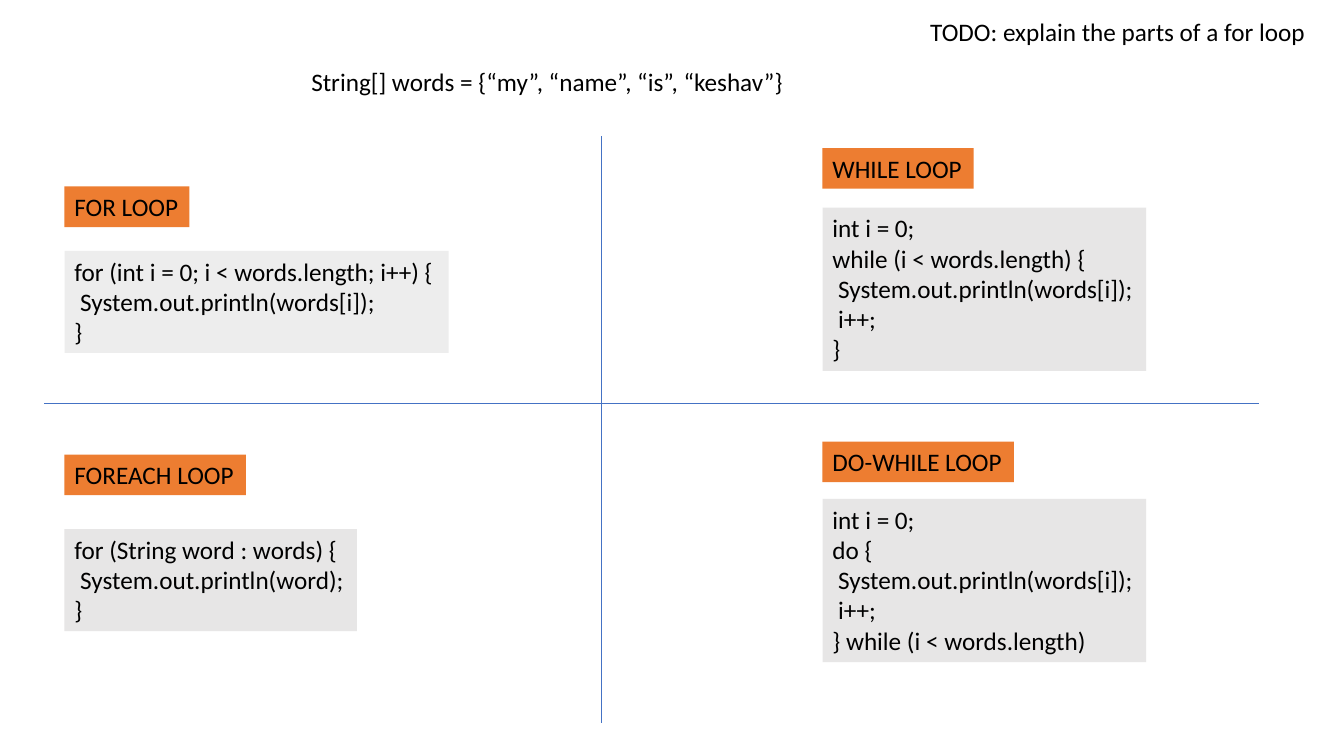
import pptx
import pptx.util
import pptx.dml.color
import pptx.enum.shapes
import pptx.enum.text
import pptx.oxml.ns
import lxml.etree

Pt = pptx.util.Pt
FONT = "Calibri"
BLACK, ORANGE, GREY, PALE, BLUE = "000000", "ED7D31", "E7E6E6", "EDEDED", "4472C4"
LINE = 21.88
PAD = 7.2

# left, top, title, title width, drop to code, code width, fill, code
LOOPS = [
    (46.1, 133.2, "FOR LOOP", 89.3, 46.1, 274.3, PALE, [
        "for (int i = 0; i < words.length; i++) {",
        " System.out.println(words[i]);",
        "}"]),
    (46.1, 324.7, "FOREACH LOOP", 129.6, 53.3, 208.8, GREY, [
        "for (String word : words) {",
        " System.out.println(word);",
        "}"]),
    (587.5, 105.8, "WHILE LOOP", 108, 42.5, 231.1, GREY, [
        "int i = 0;",
        "while (i < words.length) {",
        " System.out.println(words[i]);",
        " i++;",
        "}"]),
    (587.5, 315.4, "DO-WHILE LOOP", 136.8, 41, 231.1, GREY, [
        "int i = 0;",
        "do {",
        " System.out.println(words[i]);",
        " i++;",
        "} while (i < words.length)"]),
]


def color(text):
    return pptx.dml.color.RGBColor.from_string(text)


def write(slide, lines, left, top, width, fill=None, wrap=False, size=18):
    """Place lines of text, on a filled rectangle if a fill is given."""
    box = [Pt(n) for n in (left, top, width, PAD + LINE * len(lines))]
    if fill:
        shape = slide.shapes.add_shape(
            pptx.enum.shapes.MSO_SHAPE.RECTANGLE, *box)
        shape.shadow.inherit = False
        shape.fill.solid()
        shape.fill.fore_color.rgb = color(fill)
        shape.line.fill.background()
    else:
        shape = slide.shapes.add_textbox(*box)
    frame = shape.text_frame
    frame.text = "\n".join(lines)
    frame.word_wrap = wrap
    frame.auto_size = pptx.enum.text.MSO_AUTO_SIZE.SHAPE_TO_FIT_TEXT
    frame.vertical_anchor = pptx.enum.text.MSO_ANCHOR.TOP
    for para in frame.paragraphs:
        para.alignment = pptx.enum.text.PP_ALIGN.LEFT
        para.font.name = FONT
        para.font.size = Pt(size)
        para.font.color.rgb = color(BLACK)


def rule(slide, *ends):
    line = slide.shapes.add_connector(
        pptx.enum.shapes.MSO_CONNECTOR.STRAIGHT, *[Pt(n) for n in ends])
    line.line.color.rgb = color(BLUE)
    line.line.width = Pt(0.5)
    lxml.etree.SubElement(
        line._element.spPr, pptx.oxml.ns.qn("a:effectLst"))


def panel(slide, left, top, title, span, drop, width, fill, code):
    """Draw one loop: its title and the code below it."""
    write(slide, code, left, top + drop, width, fill=fill)
    write(slide, [title], left, top, span, fill=ORANGE)


def header(slide, left, top):
    write(slide, ["String[] words = {“my”, “name”, “is”, “keshav”}"],
          left, top + 36, 480.2, wrap=True)
    write(slide, ["TODO: explain the parts of a for loop"],
          left + 442.1, top, 285.1)


def cross(slide, left, top, width, height):
    """Divide the box into the four loop areas."""
    row, col = top + 190.8, left + 398.2
    rule(slide, left, row, left + width, row)
    rule(slide, col, top, col, top + height)


def main():
    deck = pptx.Presentation()
    deck.slide_width, deck.slide_height = Pt(960), Pt(540)
    slide = deck.slides.add_slide(deck.slide_layouts[6])
    header(slide, 215.3, 7.9)
    for loop in LOOPS:
        panel(slide, *loop)
    cross(slide, 31.7, 97.2, 867.6, 419)
    deck.save("out.pptx")


if __name__ == "__main__":
    main()
